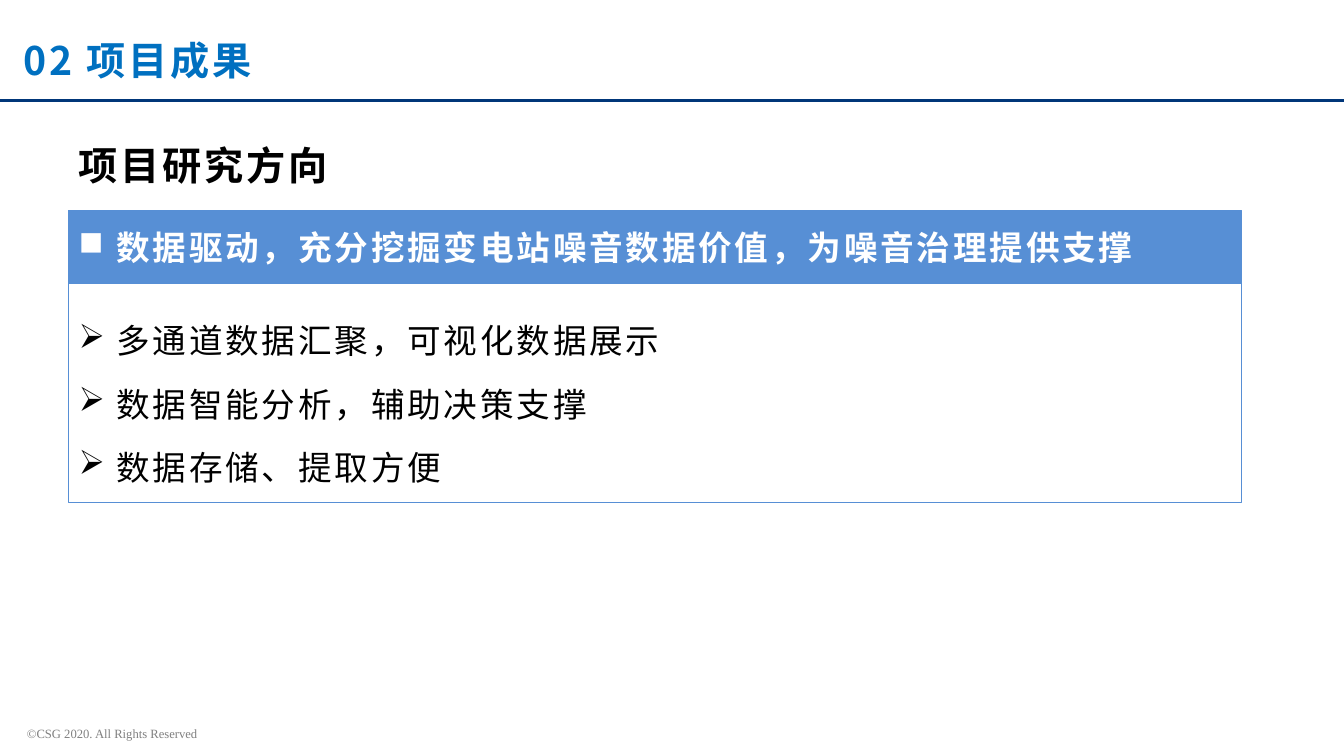
from lxml import etree
from pptx import Presentation
from pptx.dml.color import RGBColor
from pptx.enum.shapes import MSO_CONNECTOR, MSO_SHAPE
from pptx.enum.text import MSO_ANCHOR, MSO_AUTO_SIZE, PP_ALIGN
from pptx.oxml.ns import qn
from pptx.util import Pt

RECTANGLE = MSO_SHAPE.RECTANGLE
STRAIGHT = MSO_CONNECTOR.STRAIGHT
TOP, MIDDLE = MSO_ANCHOR.TOP, MSO_ANCHOR.MIDDLE
NO_FIT = MSO_AUTO_SIZE.NONE
LEFT, JUSTIFY = PP_ALIGN.LEFT, PP_ALIGN.JUSTIFY
COLORS = {"title": "0070C0", "rule": "003679", "band": "578FD5",
          "text": "000000", "white": "FFFFFF", "footer": "808080"}
CJK = "Noto Sans CJK SC"
SERIF = "Times New Roman"


def color(name):
    return RGBColor.from_string(COLORS[name])


def write(frame, *lines, size, ink, font=CJK, bold=False, tracking=2,
          align=JUSTIFY, anchor=TOP, spacing=1, before=0, bullet=None):
    frame.word_wrap = True
    frame.auto_size = NO_FIT
    frame.vertical_anchor = anchor
    for index, line in enumerate(lines):
        paragraph = frame.add_paragraph() if index else frame.paragraphs[0]
        if bullet:
            properties = paragraph._p.get_or_add_pPr()
            properties.set("marL", str(Pt(27)))
            properties.set("indent", str(Pt(-27)))
            etree.SubElement(properties, qn("a:buChar")).set("char", bullet)
        paragraph.alignment = align
        paragraph.line_spacing = spacing
        paragraph.space_before = Pt(before if index else 0)
        run = paragraph.add_run()
        run.text = line
        run.font.size = Pt(size)
        run.font.bold = bold
        run.font.color.rgb = color(ink)
        run.font.name = font
        run_properties = run.font._element
        run_properties.set("spc", str(tracking * 100))
        etree.SubElement(run_properties, qn("a:ea")).set("typeface", font)


presentation = Presentation()
presentation.slide_width, presentation.slide_height = Pt(960), Pt(540)
slide = presentation.slides.add_slide(presentation.slide_layouts[5])
shapes = slide.shapes

title = shapes.title
title.left, title.top, title.width, title.height = Pt(9.4), Pt(22.3), Pt(453.6), Pt(41)
write(title.text_frame, "02 项目成果", size=28, ink="title", bold=True, align=LEFT)

title_rule = shapes.add_connector(STRAIGHT, Pt(0), Pt(71.5), Pt(960), Pt(71.5))
title_rule.line.color.rgb = color("rule")
title_rule.line.width = Pt(2.25)
etree.SubElement(title_rule._element.spPr, qn("a:effectLst"))

research_heading = shapes.add_textbox(Pt(49), Pt(80.6), Pt(862), Pt(52))
write(research_heading.text_frame, "项目研究方向", size=28, ink="text", bold=True, spacing=1.5)

panels = [
    (150.5, 52, "band", ["数据驱动，充分挖掘变电站噪音数据价值，为噪音治理提供支撑"],
     dict(ink="white", bold=True, bullet="■")),
    (202.8, 156.5, None,
     ["多通道数据汇聚，可视化数据展示", "数据智能分析，辅助决策支撑", "数据存储、提取方便"],
     dict(ink="text", spacing=1.5, before=2, bullet="➢")),
]
for top, height, fill, lines, style in panels:
    panel = shapes.add_shape(RECTANGLE, Pt(49), Pt(top), Pt(838), Pt(height))
    panel.shadow.inherit = False
    if fill:
        panel.fill.solid()
        panel.fill.fore_color.rgb = color(fill)
    else:
        panel.fill.background()
    panel.line.color.rgb = color("band")
    panel.line.width = Pt(0.75)
    write(panel.text_frame, *lines, size=24, anchor=MIDDLE, **style)

copyright_line = shapes.add_textbox(Pt(12.2), Pt(514.8), Pt(368.6), Pt(18))
copyright_line.fill.solid()
copyright_line.fill.fore_color.rgb = color("white")
write(copyright_line.text_frame, "©CSG 2020. All Rights Reserved", size=9, ink="footer",
      font=SERIF, tracking=0, align=LEFT)

presentation.save("out.pptx")
